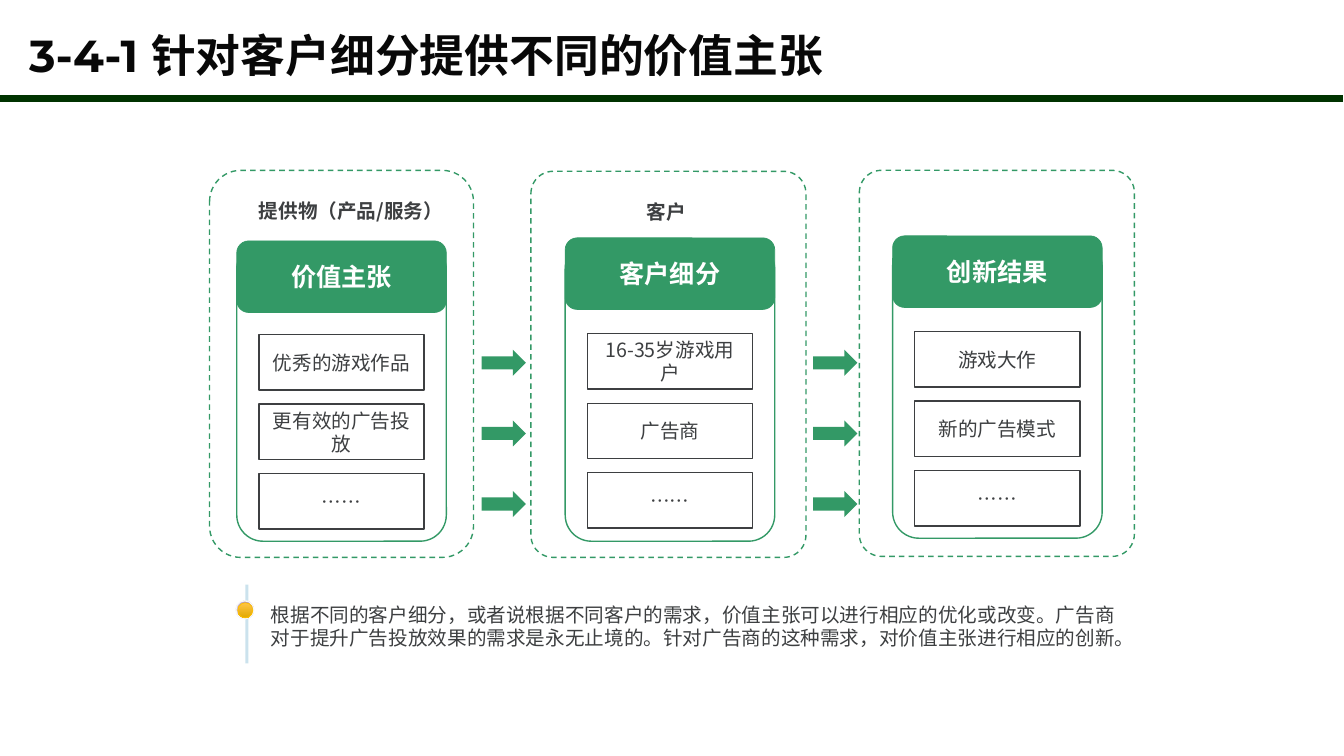
from pptx import Presentation
from pptx.dml.color import RGBColor
from pptx.enum.dml import MSO_LINE
from pptx.enum.shapes import MSO_CONNECTOR, MSO_SHAPE
from pptx.enum.text import MSO_ANCHOR, MSO_AUTO_SIZE, PP_ALIGN
from pptx.oxml.ns import qn
from pptx.util import Inches, Pt
from lxml import etree

RECT, ROUND = MSO_SHAPE.RECTANGLE, MSO_SHAPE.ROUNDED_RECTANGLE
ARROW, OVAL = MSO_SHAPE.RIGHT_ARROW, MSO_SHAPE.OVAL
CENTER, LEFT = PP_ALIGN.CENTER, PP_ALIGN.LEFT
MIDDLE, GROW = MSO_ANCHOR.MIDDLE, MSO_AUTO_SIZE.SHAPE_TO_FIT_TEXT
DASH, STRAIGHT = MSO_LINE.DASH, MSO_CONNECTOR.STRAIGHT
GREEN, INK, WHITE = "339966", "3D3F41", "FFFFFF"
CJK = "Noto Sans CJK SC"

# Content
TITLE = "3-4-1 针对客户细分提供不同的价值主张"
NOTE = ("根据不同的客户细分，或者说根据不同客户的需求，价值主张可以进行相应的优化或改变。"
        "广告商对于提升广告投放效果的需求是永无止境的。针对广告商的这种需求，"
        "对价值主张进行相应的创新。")
# frame box, frame corner, card left, card top, head top, first item top, head, items
COLUMNS = [
    ((2.08, 1.69, 2.62, 3.84), 0.31, 2.35, 2.41, 2.39, 3.32,
     "价值主张", ["优秀的游戏作品", "更有效的广告投放", "……"]),
    ((5.27, 1.7, 2.73, 3.83), 0.22, 5.61, 2.41, 2.36, 3.31,
     "客户细分", ["16-35岁游戏用户", "广告商", "……"]),
    ((8.53, 1.69, 2.73, 3.83), 0.22, 8.86, 2.38, 2.34, 3.29,
     "创新结果", ["游戏大作", "新的广告模式", "……"]),
]
CAPTIONS = [("提供物（产品/服务）", (2.42, 1.92, 2.13, 0.34)),
            ("客户", (6.32, 1.93, 0.59, 0.34))]
ARROWS = [4.78, 8.07]
# box, first colour, last colour, angle, line colour, line width
DOTS = [((2.34, 5.96, 0.18, 0.18), "E5DBE5", "A57DA5", 45, "F8F8F8", 1),
        ((2.36, 5.98, 0.15, 0.15), "FFC548", "E1A900", 270, "FFC000", 0.5)]
CARD_W, CARD_H, HEAD_H, CORNER = 2.08, 2.96, 0.71, 0.26
ITEM_W, ITEM_H, ITEM_STEP = 1.64, 0.55, 0.69
ARROW_TOP, ARROW_STEP = 3.47, 0.7

prs = Presentation()
prs.slide_width, prs.slide_height = Inches(13.34), Inches(7.5)
slide = prs.slides.add_slide(prs.slide_layouts[6])
shapes = slide.shapes


def color(code):
    return RGBColor.from_string(code)


def write(shape, text, size, code, bold=False, font=CJK, align=CENTER):
    frame = shape.text_frame
    frame.text = text
    para = frame.paragraphs[0]
    para.alignment = align
    run = para.runs[0]
    run.font.size, run.font.bold, run.font.name = Pt(size), bold, font
    run.font.color.rgb = color(code)
    east = etree.SubElement(run.font._element, qn("a:ea"))
    east.set("typeface", CJK)
    return para


def draw(kind, box, fill=None, line=None, width=1, home=shapes):
    shape = home.add_shape(kind, *map(Inches, box))
    shape.shadow.inherit = False
    if fill:
        shape.fill.solid()
        shape.fill.fore_color.rgb = color(fill)
    else:
        shape.fill.background()
    if line:
        shape.line.color.rgb = color(line)
        shape.line.width = Pt(width)
    else:
        shape.line.fill.background()
    return shape


def label(box, wrap):
    shape = shapes.add_textbox(*map(Inches, box))
    shape.text_frame.word_wrap = wrap
    return shape


def rule(x1, y1, x2, y2, code, width):
    line = shapes.add_connector(STRAIGHT, *map(Inches, (x1, y1, x2, y2)))
    line.line.color.rgb = color(code)
    line.line.width = Pt(width)
    etree.SubElement(line._element.spPr, qn("a:effectLst"))
    return line


# Title
para = write(label((0.19, 0.29, 12.09, 0.77), True), TITLE, 32, "080808",
             True, "Montserrat", LEFT)
para.line_spacing = 0.9

# Columns
for frame, corner, left, top, head_top, item_top, head, items in COLUMNS:
    outer = draw(ROUND, frame, line=GREEN)
    outer.adjustments[0] = corner / frame[2]
    outer.line.dash_style = DASH
    card = draw(ROUND, (left, top, CARD_W, CARD_H), line=GREEN)
    card.adjustments[0] = CORNER / CARD_W
    band = draw(ROUND, (left, head_top, CARD_W, HEAD_H), GREEN, GREEN, 0.5)
    write(band, head, 18, WHITE, True)
    for row, item in enumerate(items):
        cell = draw(RECT, (left + (CARD_W - ITEM_W) / 2,
                           item_top + row * ITEM_STEP, ITEM_W, ITEM_H), line=INK)
        cell.text_frame.vertical_anchor = MIDDLE
        write(cell, item, 14, INK)

# Captions
for text, box in CAPTIONS:
    caption = label(box, False)
    caption.text_frame.auto_size = GROW
    write(caption, text, 14, INK, True)

# Arrows between columns
for left in ARROWS:
    for row in range(3):
        draw(ARROW, (left, ARROW_TOP + row * ARROW_STEP, 0.44, 0.26), GREEN)

# Note with its marker
note = label((2.59, 5.93, 8.59, 0.57), True)
note.text_frame.auto_size = GROW
write(note, NOTE, 14, INK, align=LEFT)
stem = rule(2.45, 5.8, 2.45, 6.58, "98C7DC", 2.25)
tint = stem._element.spPr.find(".//" + qn("a:srgbClr"))
etree.SubElement(tint, qn("a:alpha")).set("val", "50000")
marker = shapes.add_group_shape()
for box, first, last, angle, line, width in DOTS:
    dot = draw(OVAL, box, line=line, width=width, home=marker.shapes)
    dot.fill.gradient()
    dot.fill.gradient_angle = angle
    for stop, code, place in zip(dot.fill.gradient_stops, (first, last), (0, 1)):
        stop.color.rgb = color(code)
        stop.position = place

# Title rule
rule(0, 0.98, 13.33, 0.98, "003300", 4.75)

prs.save("out.pptx")
